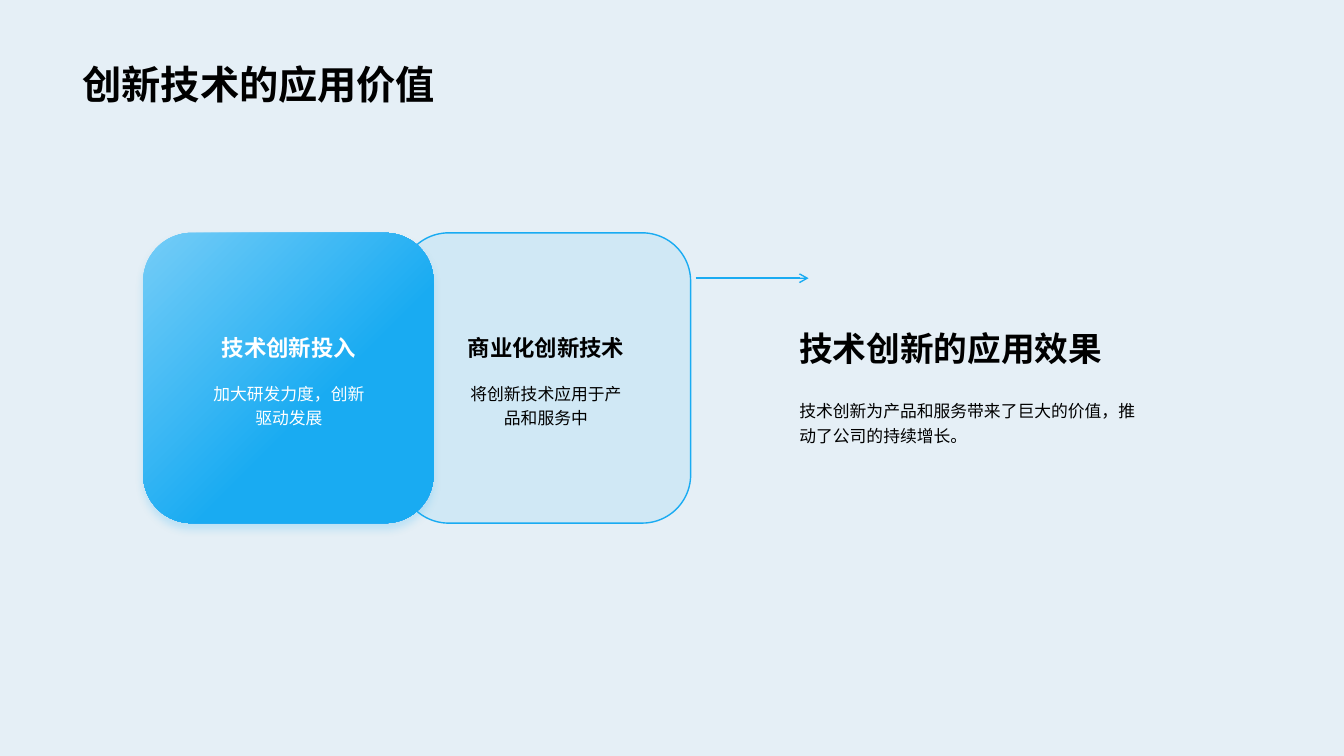
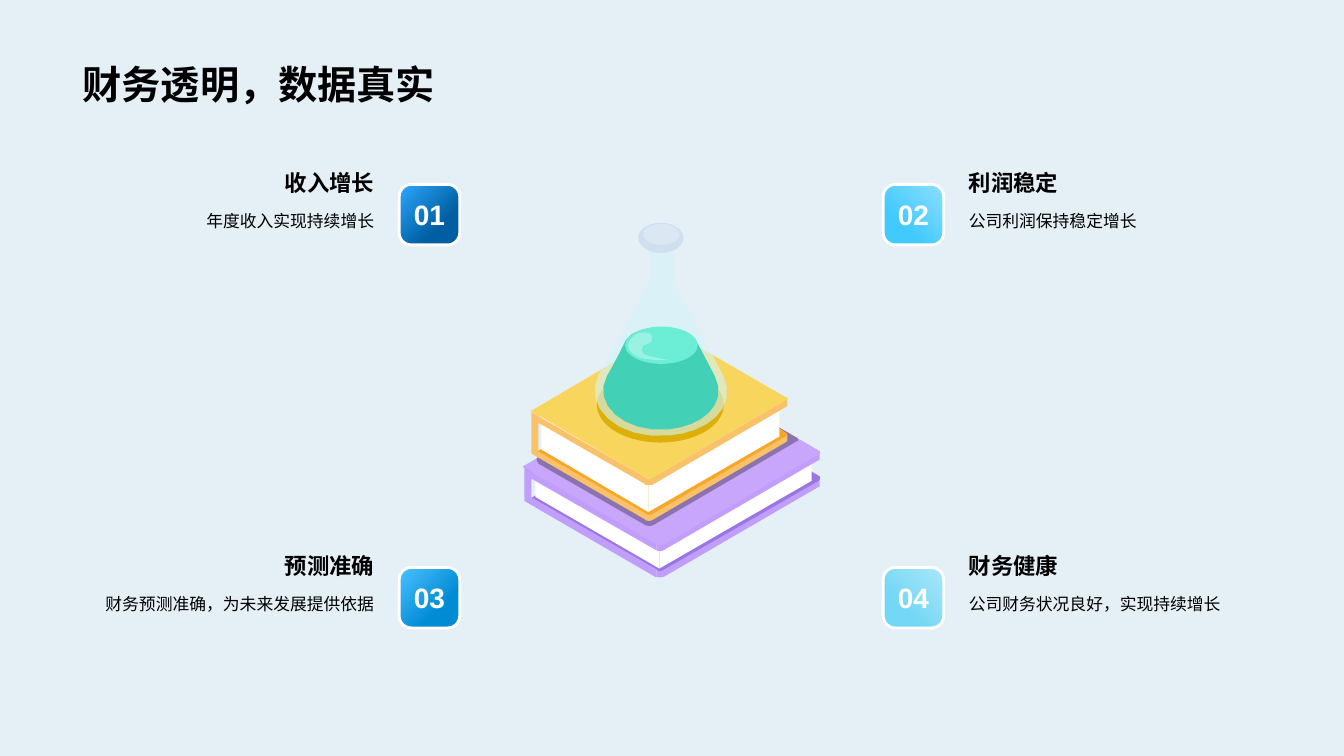
from dataclasses import dataclass
from typing import Optional, Union

from lxml.etree import SubElement
from pptx import Presentation
from pptx.dml.color import RGBColor
from pptx.enum.lang import MSO_LANGUAGE_ID
from pptx.enum.shapes import MSO_CONNECTOR, MSO_SHAPE
from pptx.enum.text import MSO_ANCHOR, MSO_AUTO_SIZE, PP_ALIGN
from pptx.oxml.ns import qn
from pptx.util import Inches, Pt

FONT = "Arial"
BLACK = RGBColor(0x00, 0x00, 0x00)
WHITE = RGBColor(0xFF, 0xFF, 0xFF)
PALE_BLUE = RGBColor(0xE5, 0xEF, 0xF6)
SKY = RGBColor(0x19, 0xAB, 0xF2)
LIGHT_SKY = RGBColor(0x75, 0xCD, 0xF7)
LILAC = RGBColor(0xC7, 0xA6, 0xFC)
LILAC_EDGE = RGBColor(0xC1, 0x9E, 0xFC)
PURPLE = RGBColor(0x98, 0x77, 0xE5)
YELLOW = RGBColor(0xF8, 0xD5, 0x5D)
YELLOW_EDGE = RGBColor(0xF9, 0xC1, 0x69)
ORANGE = RGBColor(0xF6, 0xA7, 0x26)
MUSTARD = RGBColor(0xDD, 0xB0, 0x09)
GLASS = RGBColor(0xD4, 0xF5, 0xF9)
RIM = RGBColor(0xD0, 0xDF, 0xF0)
OPENING = RGBColor(0xDB, 0xE7, 0xF3)
TEAL = RGBColor(0x42, 0xD0, 0xB6)
MINT = RGBColor(0x6B, 0xED, 0xD6)

CARD_SIZE = 2.88
BADGE_SIZE = 0.6
ROW_PITCH = 3.8
CURVE_STEPS = 8


@dataclass(frozen=True)
class Stage:
    left: float
    heading: str
    detail: str
    highlighted: bool


@dataclass(frozen=True)
class Metric:
    number: str
    heading: str
    detail: str
    start: RGBColor
    end: RGBColor
    end_position: float


@dataclass(frozen=True)
class Outline:
    colour: RGBColor
    points: str
    opacity: int = 100


@dataclass(frozen=True)
class Oval:
    colour: RGBColor
    left: float
    top: float
    width: float
    height: float


STAGES = [
    Stage(3.97, "商业化创新技术", "将创新技术应用于产品和服务中", False),
    Stage(1.42, "技术创新投入", "加大研发力度，创新驱动发展", True),
]

METRICS = [
    Metric("01", "收入增长", "年度收入实现持续增长",
           RGBColor(0x2E, 0xA9, 0xFF), RGBColor(0x00, 0x5F, 0xA2), 0.68),
    Metric("02", "利润稳定", "公司利润保持稳定增长",
           RGBColor(0x8E, 0xDF, 0xFF), RGBColor(0x42, 0xCA, 0xFF), 0.68),
    Metric("03", "预测准确", "财务预测准确，为未来发展提供依据",
           RGBColor(0x4D, 0xC1, 0xFF), RGBColor(0x00, 0x8B, 0xD5), 0.69),
    Metric("04", "财务健康", "公司财务状况良好，实现持续增长",
           RGBColor(0xAB, 0xE7, 0xF9), RGBColor(0x73, 0xD7, 0xF5), 0.69),
]

LOWER_BOOK = [
    Outline(LILAC, "M 688 375 L 527 469 520 464 C 519 464 518 463 519 463 519 462 519 462 520 462 "
                   "L 676 371 C 677 370 679 370 680 371"),
    Outline(LILAC_EDGE, "M 812 476 L 659 565 C 656 566 653 566 651 565 L 651 572 "
                        "C 653 573 656 573 659 572 L 812 483 C 813 483 813 482 813 481 L 813 474 "
                        "C 813 475 813 476 812 476"),
    Outline(PURPLE, "M 812 472 C 814 473 814 475 812 477 L 659 565 C 656 567 653 567 651 565 "
                    "L 527 494 688 401"),
    Outline(WHITE, "M 654 539 L 654 564 531 493 531 467"),
    Outline(WHITE, "M 805 454 L 805 477 654 564 654 539"),
    Outline(LILAC_EDGE, "M 527 477 C 527 476 528 475 528 475 528 475 529 476 529 476 "
                        "L 651 546 651 539 520 463 520 497 651 573 651 565 528 494 "
                        "C 528 494 527 494 527 493"),
    Outline(LILAC_EDGE, "M 811 450 L 658 539 C 656 540 653 540 651 539 L 651 546 "
                        "C 653 547 656 547 658 546 L 811 457 C 812 457 813 456 813 455 L 813 447 "
                        "C 813 448 812 449 811 450"),
    Outline(LILAC, "M 812 447 C 814 448 814 450 812 451 L 659 540 C 656 541 653 541 651 540 "
                   "L 527 468 688 375"),
]

UPPER_BOOK = [
    Outline(BLACK, "M 533 454 C 532 455 532 458 534 459 534 459 534 460 534 460 L 640 521 "
                   "C 643 522 646 522 648 521 L 790 438 C 792 438 792 436 791 435 "
                   "791 434 791 434 790 434 L 724 396 535 451", 30),
    Outline(YELLOW, "M 673 332 L 534 413 528 409 C 526 408 526 407 528 407 L 662 328 "
                    "C 664 328 665 328 666 328"),
    Outline(YELLOW_EDGE, "M 779 432 L 647 509 C 645 510 642 510 640 509 L 640 516 "
                         "C 642 517 645 517 647 516 L 779 439 C 780 438 780 438 781 437 L 781 431 "
                         "C 780 431 780 432 779 432"),
    Outline(ORANGE, "M 779 429 C 780 429 781 430 780 432 780 432 780 433 779 433 L 647 510 "
                    "C 645 511 642 511 640 510 L 533 448 672 355"),
    Outline(WHITE, "M 643 473 L 643 508 537 446 537 411"),
    Outline(WHITE, "M 773 400 L 773 433 643 508 643 473"),
    Outline(YELLOW_EDGE, "M 534 421 C 534 420 534 420 535 420 535 420 535 420 535 420 "
                         "L 641 481 641 474 527 409 527 450 641 516 641 510 534 448 "
                         "C 534 448 534 447 534 447"),
    Outline(YELLOW_EDGE, "M 779 397 L 647 474 C 645 475 642 475 640 474 L 640 481 "
                         "C 641 481 642 481 644 481 645 481 646 481 647 481 L 779 404 "
                         "C 780 403 780 403 781 402 L 781 396 C 780 396 780 397 779 397"),
    Outline(YELLOW, "M 779 394 C 781 394 781 395 781 396 781 397 780 397 779 397 L 647 474 "
                    "C 645 475 643 475 641 474 L 534 412 672 332"),
]

FLASK = [
    Oval(MUSTARD, 5.92, 3.64, 1.26, 0.75),
    Outline(GLASS, "M 664 245 C 659 248 653 248 648 245 646 244 644 242 644 240 L 644 281 "
                   "C 644 283 646 285 647 285 653 288 659 288 664 286 666 285 667 283 668 281 "
                   "L 668 240 C 667 242 666 244 664 245", 62),
    Oval(RIM, 6.33, 2.21, 0.45, 0.3),
    Oval(OPENING, 6.38, 2.22, 0.36, 0.21),
    Outline(GLASS, "M 717 372 L 670 283 667 279 C 668 281 667 284 664 286 659 288 653 288 647 285 "
                   "644 284 643 281 645 279 L 594 371 C 577 403 612 437 664 432 "
                   "701 429 733 405 717 372", 62),
    Outline(TEAL, "M 709 373 C 704 364 696 348 691 339 682 322 631 320 621 337 "
                  "616 347 608 363 602 373 587 400 618 430 663 426 695 423 723 402 709 373"),
    Oval(MINT, 6.2, 3.24, 0.72, 0.37),
    Outline(WHITE, "M 636 330 C 645 329 646 332 647 335 647 339 644 341 640 342 "
                   "637 342 635 349 640 352 645 354 663 357 663 357 663 357 645 358 635 355 "
                   "627 352 624 348 623 343 623 338 629 331 636 330", 33),
]


def style_text(frame, text: str, size: float, colour: RGBColor, bold: bool, align, spacing=None) -> None:
    frame.text = text
    paragraph = frame.paragraphs[0]
    paragraph.alignment = align
    paragraph.line_spacing = spacing
    font = paragraph.runs[0].font
    font.name, font.size, font.bold = FONT, Pt(size), bold
    font.color.rgb = colour
    font.language_id = MSO_LANGUAGE_ID.SIMPLIFIED_CHINESE


def add_heading(slide, box: tuple, text: str, colour: RGBColor, align) -> None:
    frame = slide.shapes.add_textbox(*map(Inches, box)).text_frame
    frame.word_wrap = False
    frame.vertical_anchor = MSO_ANCHOR.BOTTOM
    style_text(frame, text, 16, colour, True, align)


def add_wrapped(slide, box: tuple, text: str, colour: RGBColor, align,
                size: float = 12, bold: bool = False, spacing: Optional[float] = 1.2) -> None:
    frame = slide.shapes.add_textbox(*map(Inches, box)).text_frame
    frame.word_wrap = True
    frame.auto_size = MSO_AUTO_SIZE.SHAPE_TO_FIT_TEXT
    style_text(frame, text, size, colour, bold, align, spacing)


def fill_solid(shape, colour: RGBColor, opacity: int = 100) -> None:
    shape.shadow.inherit = False
    shape.fill.solid()
    shape.fill.fore_color.rgb = colour
    if opacity < 100:
        tint = shape.element.spPr.find(qn("a:solidFill")).find(qn("a:srgbClr"))
        SubElement(tint, qn("a:alpha"), val=str(opacity * 1000))


def fill_gradient(shape, start: RGBColor, end: RGBColor, end_position: float, angle: float) -> None:
    shape.shadow.inherit = False
    shape.fill.gradient()
    shape.fill.gradient_angle = angle
    for stop, colour, position in zip(shape.fill.gradient_stops, (start, end), (0, end_position)):
        stop.color.rgb = colour
        stop.position = position


def add_glow(shape, colour: RGBColor) -> None:
    effects = shape.element.spPr.find(qn("a:effectLst"))
    outer = SubElement(effects, qn("a:outerShdw"), blurRad=str(Pt(6)), dist=str(Pt(4)),
                       dir="5400000", algn="t", rotWithShape="0")
    tint = SubElement(outer, qn("a:srgbClr"), val=str(colour))
    SubElement(tint, qn("a:alpha"), val="20000")


def add_stage(slide, stage: Stage) -> None:
    card = slide.shapes.add_shape(MSO_SHAPE.ROUNDED_RECTANGLE, Inches(stage.left), Inches(2.31),
                                  Inches(CARD_SIZE), Inches(CARD_SIZE))
    if stage.highlighted:
        fill_gradient(card, LIGHT_SKY, SKY, 0.6, 315)
        add_glow(card, SKY)
        card.line.fill.background()
    else:
        fill_solid(card, SKY, 10)
        card.line.color.rgb = SKY
        card.line.width = Pt(1)
    colour = WHITE if stage.highlighted else BLACK
    text_left = stage.left + 0.52
    add_heading(slide, (text_left, 3.2, 1.85, 0.43), stage.heading, colour, PP_ALIGN.CENTER)
    add_wrapped(slide, (text_left, 3.72, 1.85, 0.57), stage.detail, colour, PP_ALIGN.CENTER)


def add_arrow(slide, left: float, right: float, y: float) -> None:
    arrow = slide.shapes.add_connector(MSO_CONNECTOR.STRAIGHT, Inches(left), Inches(y),
                                       Inches(right), Inches(y))
    arrow.line.color.rgb = SKY
    arrow.line.width = Pt(1)
    SubElement(arrow.line._get_or_add_ln(), qn("a:tailEnd"), type="arrow")
    SubElement(arrow.element.spPr, qn("a:effectLst"))


def add_metric(slide, metric: Metric, row: int, on_left: bool) -> None:
    top = 1.83 + row * ROW_PITCH
    badge = slide.shapes.add_shape(MSO_SHAPE.ROUNDED_RECTANGLE, Inches(3.96 if on_left else 8.76),
                                   Inches(top), Inches(BADGE_SIZE), Inches(BADGE_SIZE))
    badge.adjustments[0] = 0.2
    fill_gradient(badge, metric.start, metric.end, metric.end_position, 315 if on_left else 225)
    badge.line.color.rgb = WHITE
    badge.line.width = Pt(2)
    badge.text_frame.word_wrap = False
    badge.text_frame.vertical_anchor = MSO_ANCHOR.MIDDLE
    style_text(badge.text_frame, metric.number, 20, WHITE, True, PP_ALIGN.CENTER)
    text_left, align = (0.72, PP_ALIGN.RIGHT) if on_left else (9.51, PP_ALIGN.LEFT)
    add_heading(slide, (text_left, top - 0.24, 3.09, 0.4), metric.heading, BLACK, align)
    add_wrapped(slide, (text_left, top + 0.17, 3.09, 0.32), metric.detail, BLACK, align)


def trace(points: str) -> list[tuple]:
    traced, pending, command = [], [], ""
    for token in points.split():
        if token.isalpha():
            command = token
            continue
        pending.append(int(token) / 100)
        if len(pending) < (6 if command == "C" else 2):
            continue
        if command == "C":
            (x0, y0), (x1, y1, x2, y2, x3, y3) = traced[-1], pending
            for step in range(1, CURVE_STEPS + 1):
                t = step / CURVE_STEPS
                weights = ((1 - t) ** 3, 3 * t * (1 - t) ** 2, 3 * t * t * (1 - t), t ** 3)
                traced.append(tuple(sum(w * v for w, v in zip(weights, axis))
                                    for axis in ((x0, x1, x2, x3), (y0, y1, y2, y3))))
        else:
            traced.append(tuple(pending))
        pending = []
    return traced


def add_piece(illustration, piece: Union[Outline, Oval]) -> None:
    if isinstance(piece, Oval):
        box = (piece.left, piece.top, piece.width, piece.height)
        shape = illustration.shapes.add_shape(MSO_SHAPE.OVAL, *map(Inches, box))
        fill_solid(shape, piece.colour)
    else:
        corners = [(Inches(x), Inches(y)) for x, y in trace(piece.points)]
        builder = illustration.shapes.build_freeform(*corners[0])
        builder.add_line_segments(corners[1:], close=True)
        shape = builder.convert_to_shape()
        fill_solid(shape, piece.colour, piece.opacity)
    shape.line.fill.background()


def add_titled_slide(prs, layout, title: str):
    slide = prs.slides.add_slide(layout)
    frame = slide.shapes.title.text_frame
    frame.vertical_anchor = MSO_ANCHOR.BOTTOM
    frame.auto_size = MSO_AUTO_SIZE.NONE
    style_text(frame, title, 28, BLACK, True, PP_ALIGN.LEFT)
    return slide


def main() -> None:
    prs = Presentation()
    prs.slide_width, prs.slide_height = Inches(13.33), Inches(7.5)
    backdrop = prs.slide_master.background.fill
    backdrop.solid()
    backdrop.fore_color.rgb = PALE_BLUE
    layout = prs.slide_layouts.get_by_name("Title Only")
    heading = layout.placeholders[0]
    heading.left, heading.top, heading.width, heading.height = map(Inches, (0.72, 0, 11.88, 1.12))

    innovation = add_titled_slide(prs, layout, "创新技术的应用价值")
    for stage in STAGES:
        add_stage(innovation, stage)
    add_arrow(innovation, 6.9, 8.02, 2.76)
    add_wrapped(innovation, (7.83, 3.2, 3.56, 0.5), "技术创新的应用效果", BLACK, PP_ALIGN.LEFT,
                size=24, bold=True, spacing=None)
    add_wrapped(innovation, (7.83, 3.89, 3.56, 0.56),
                "技术创新为产品和服务带来了巨大的价值，推动了公司的持续增长。", BLACK, PP_ALIGN.LEFT)

    finance = add_titled_slide(prs, layout, "财务透明，数据真实")
    for index, metric in enumerate(METRICS):
        add_metric(finance, metric, index // 2, index % 2 == 0)
    illustration = finance.shapes.add_group_shape()
    for piece in LOWER_BOOK + UPPER_BOOK + FLASK:
        add_piece(illustration, piece)

    prs.save("out.pptx")


if __name__ == "__main__":
    main()
